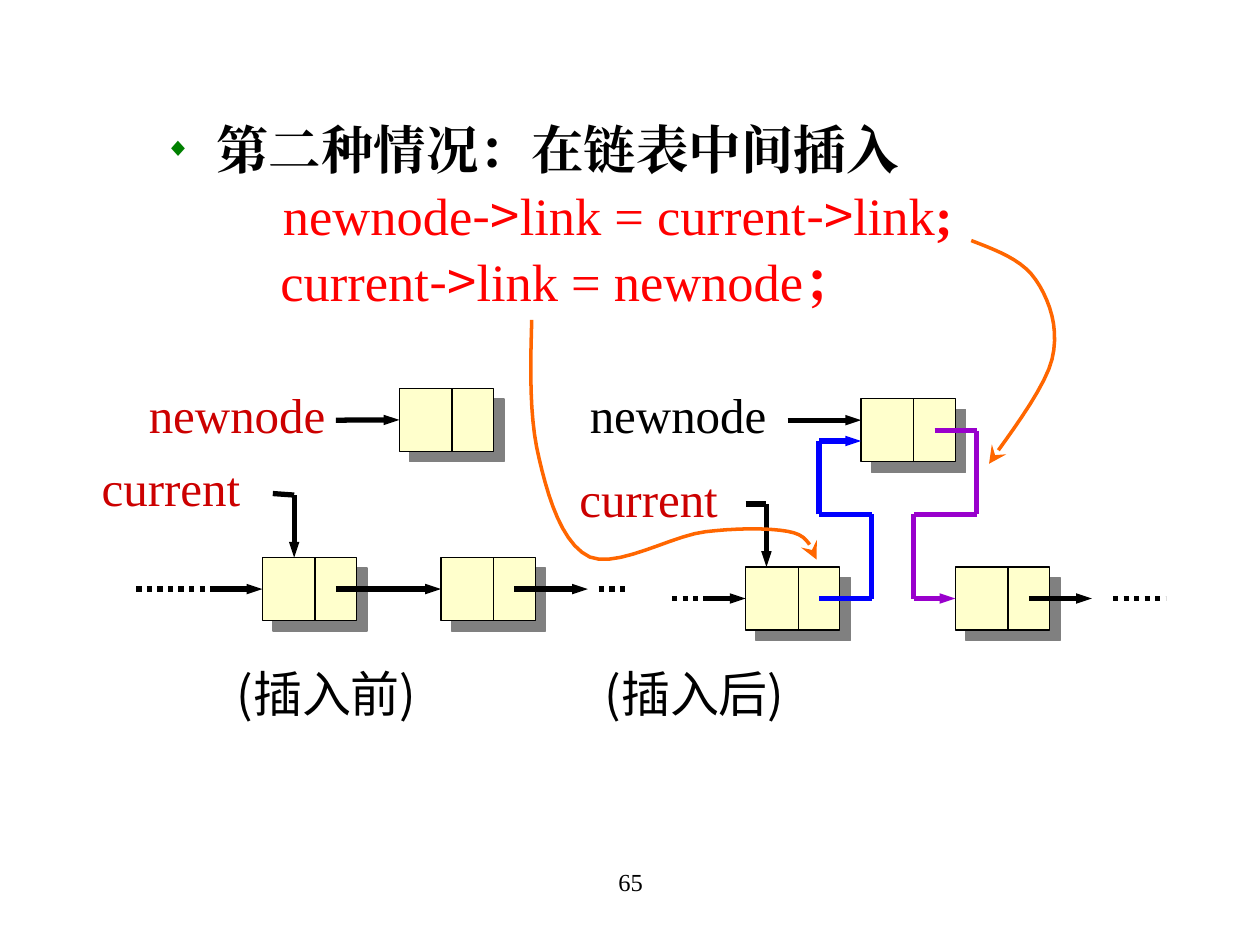
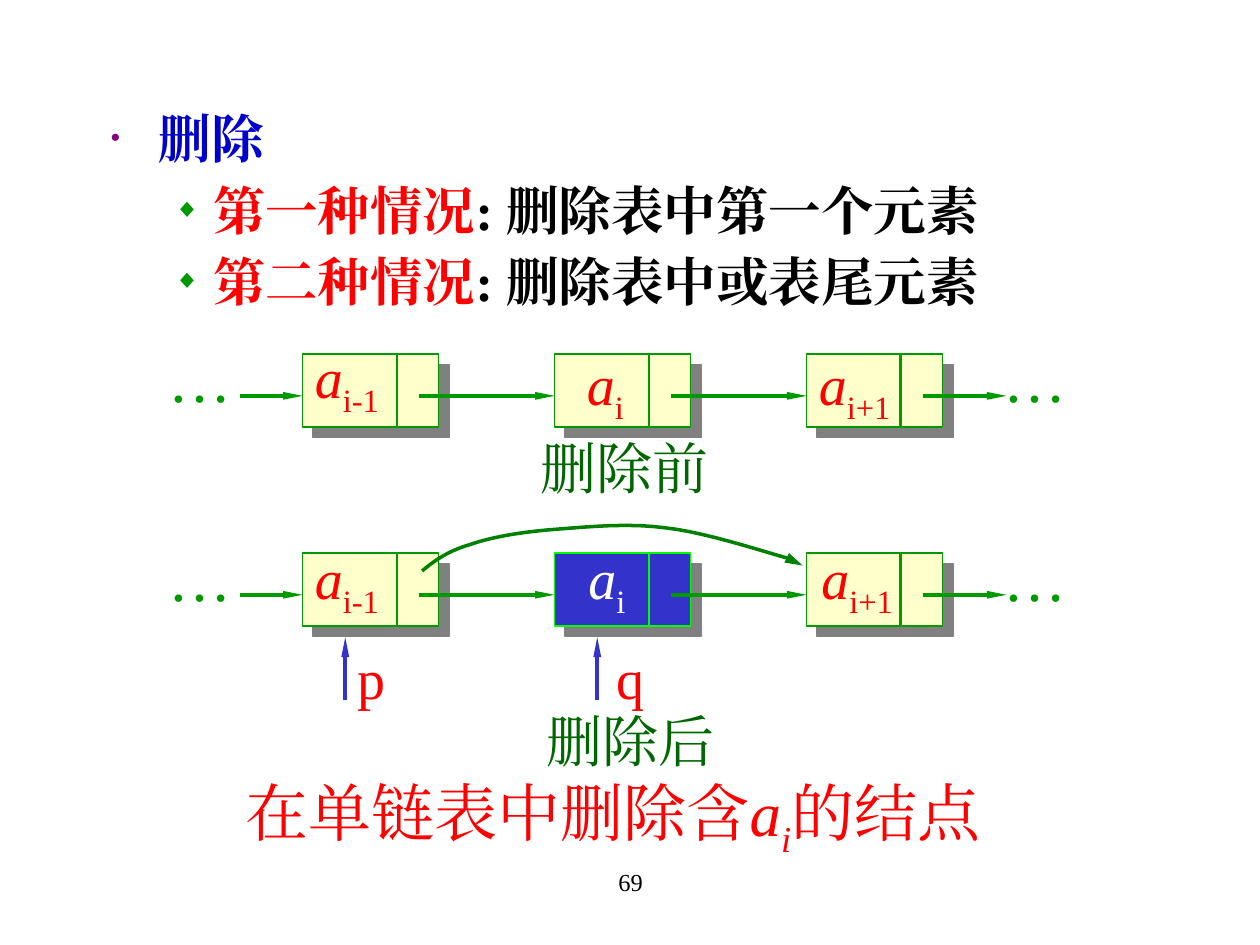
import dataclasses
import itertools
from typing import NamedTuple, Optional

import lxml.etree
import pptx
import pptx.dml.color
import pptx.enum.dml
import pptx.enum.shapes
import pptx.enum.text
import pptx.oxml.ns
import pptx.util

Cm = pptx.util.Cm
Pt = pptx.util.Pt
RGBColor = pptx.dml.color.RGBColor
Point = tuple[float, float]

BLACK = RGBColor(0x00, 0x00, 0x00)
WHITE = RGBColor(0xFF, 0xFF, 0xFF)
RED = RGBColor(0xFF, 0x00, 0x00)
DARK_RED = RGBColor(0xCC, 0x00, 0x00)
BLUE = RGBColor(0x00, 0x00, 0xFF)
TITLE_BLUE = RGBColor(0x00, 0x00, 0xCC)
NODE_BLUE = RGBColor(0x33, 0x33, 0xCC)
VIOLET = RGBColor(0x99, 0x00, 0xCC)
PURPLE = RGBColor(0x80, 0x00, 0x80)
ORANGE = RGBColor(0xFF, 0x66, 0x00)
GREEN = RGBColor(0x00, 0x99, 0x00)
BULLET_GREEN = RGBColor(0x00, 0x80, 0x00)
CAPTION_GREEN = RGBColor(0x00, 0x66, 0x00)
BRIGHT_GREEN = RGBColor(0x00, 0xFF, 0x00)
CREAM = RGBColor(0xFF, 0xFF, 0xCC)

SERIF = "Times New Roman"
SANS = "Noto Sans CJK SC"


class Span(NamedTuple):
    text: str
    color: RGBColor = BLACK
    bold: bool = False
    italic: bool = False
    font: str = SERIF
    subscript: bool = False


class Item(NamedTuple):
    """One paragraph of a list; margin and hanging are in centimetres."""
    spans: list[Span]
    margin: float
    hanging: float = 0
    bullet: str = ""
    bullet_color: RGBColor = BLACK
    level: int = 1
    space_before: float = 0
    line_spacing: float = 1.0


class Arrowhead(NamedTuple):
    kind: str
    width: str
    length: str


class Stroke(NamedTuple):
    color: RGBColor
    weight: float
    head: Optional[Arrowhead] = None
    dotted: bool = False


@dataclasses.dataclass
class NodeStyle:
    width: float
    height: float
    cut: float
    fill: RGBColor
    line: RGBColor
    cut_weight: float


LIST_HEAD = Arrowhead("triangle", "sm", "med")
LONG_HEAD = Arrowhead("triangle", "sm", "lg")
WIRE = Stroke(BLACK, 3)
ARROW = Stroke(BLACK, 3, LIST_HEAD)
DOTS = Stroke(BLACK, 3, dotted=True)
GREEN_ARROW = Stroke(GREEN, 2.25, LONG_HEAD)
POINTER = Stroke(NODE_BLUE, 2.25, LONG_HEAD)
ORANGE_CURVE = Stroke(ORANGE, 2, Arrowhead("stealth", "lg", "lg"))
GREEN_CURVE = Stroke(BULLET_GREEN, 2, Arrowhead("triangle", "med", "lg"))
INSERT_NODE = NodeStyle(1.9, 1.27, 1.06, CREAM, BLACK, 0.75)
DELETE_NODE = NodeStyle(2.74, 1.47, 1.9, CREAM, GREEN, 1.5)
DELETED_NODE = dataclasses.replace(DELETE_NODE, fill=NODE_BLUE, line=BRIGHT_GREEN)


def add_element(parent, tag: str, **attributes: str):
    return lxml.etree.SubElement(parent, pptx.oxml.ns.qn(tag), attributes)


def add_spans(para, spans: list[Span], size: float) -> None:
    for span in spans:
        run = para.add_run()
        run.text = span.text
        font = run.font
        font.size, font.name = Pt(size), span.font
        font.bold, font.italic = span.bold, span.italic
        font.color.rgb = span.color
        properties = run._r.get_or_add_rPr()
        add_element(properties, "a:ea", typeface=span.font)
        if span.subscript:
            properties.set("baseline", "-25000")


def add_label(page, left: float, top: float, width: float, spans: list[Span],
              size: float, inset: Point = (0.25, 0.13), centered: bool = False) -> None:
    box = page.shapes.add_textbox(Cm(left), Cm(top), Cm(width), Cm(size * 0.05))
    frame = box.text_frame
    frame.word_wrap = True
    frame.margin_left = frame.margin_right = Cm(inset[0])
    frame.margin_top = frame.margin_bottom = Cm(inset[1])
    para = frame.paragraphs[0]
    if centered:
        para.alignment = pptx.enum.text.PP_ALIGN.CENTER
    add_spans(para, spans, size)


def add_page(deck, number: str, bounds: tuple, items: list[Item]):
    """Add a slide with its list in the body placeholder and its page number."""
    page = deck.slides.add_slide(deck.slide_layouts[1])
    title = page.shapes.title
    title.element.getparent().remove(title.element)
    body = page.placeholders[1]
    body.left, body.top, body.width, body.height = map(Cm, bounds)
    frame = body.text_frame
    frame.auto_size = pptx.enum.text.MSO_AUTO_SIZE.NONE
    for index, item in enumerate(items):
        para = frame.add_paragraph() if index else frame.paragraphs[0]
        para.level = item.level
        properties = para._p.get_or_add_pPr()
        properties.set("marL", str(Cm(item.margin)))
        properties.set("indent", str(-Cm(item.hanging)))
        if item.bullet:
            tint = add_element(properties, "a:buClr")
            add_element(tint, "a:srgbClr", val=str(item.bullet_color))
            add_element(properties, "a:buSzPct", val="50000")
            add_element(properties, "a:buChar", char=item.bullet)
        else:
            add_element(properties, "a:buNone")
        para.line_spacing = item.line_spacing
        para.space_before = Pt(item.space_before)
        add_spans(para, item.spans, 30)
    add_label(page, 8.69, 17.35, 8.05, [Span(number)], 14, centered=True)
    return page


def apply_stroke(shape, stroke: Stroke) -> None:
    line = shape.line
    line.color.rgb = stroke.color
    line.width = Pt(stroke.weight)
    if stroke.dotted:
        line.dash_style = pptx.enum.dml.MSO_LINE.ROUND_DOT
    if stroke.head:
        add_element(line._get_or_add_ln(), "a:tailEnd", type=stroke.head.kind,
                    w=stroke.head.width, len=stroke.head.length)


def add_line(page, start: Point, end: Point, stroke: Stroke, target=None) -> None:
    """Draw a line; a target rectangle is joined at the middle of its left side."""
    connector = page.shapes.add_connector(
        pptx.enum.shapes.MSO_CONNECTOR.STRAIGHT, *map(Cm, start + end))
    if target is not None:
        connector.end_connect(target, 1)
    apply_stroke(connector, stroke)
    add_element(connector._element.spPr, "a:effectLst")


def add_route(page, points: list[Point], stroke: Stroke, target=None) -> None:
    """Draw a bent line whose last leg alone carries the arrowhead."""
    legs = list(itertools.pairwise(points))
    for start, end in legs[:-1]:
        add_line(page, start, end, stroke._replace(head=None))
    add_line(page, *legs[-1], stroke, target)


def add_curve(page, points: list[Point], stroke: Stroke, steps: int = 10) -> None:
    """Draw joined cubic Bezier arcs: a start, then three points for each arc."""
    trace = []
    for first in range(0, len(points) - 1, 3):
        arc = points[first:first + 4]
        for step in range(1, steps + 1):
            t = step / steps
            weights = ((1 - t) ** 3, 3 * t * (1 - t) ** 2, 3 * t * t * (1 - t), t ** 3)
            trace.append(tuple(Cm(sum(w * point[axis] for w, point in zip(weights, arc)))
                               for axis in (0, 1)))
    builder = page.shapes.build_freeform(*map(Cm, points[0]))
    builder.add_line_segments(trace, close=False)
    curve = builder.convert_to_shape()
    curve.shadow.inherit = False
    curve.fill.background()
    apply_stroke(curve, stroke)


def add_node(page, left: float, top: float, style: NodeStyle):
    """Draw a list node: a shadowed box cut into a data and a link field."""
    node = page.shapes.add_shape(pptx.enum.shapes.MSO_SHAPE.RECTANGLE, Cm(left), Cm(top),
                                 Cm(style.width), Cm(style.height))
    node.fill.solid()
    node.fill.fore_color.rgb = style.fill
    apply_stroke(node, Stroke(style.line, 0.75))
    node.shadow.inherit = False
    effects = node._element.spPr.find(pptx.oxml.ns.qn("a:effectLst"))
    shadow = add_element(effects, "a:outerShdw", dist=str(Pt(8.5)), dir="2700000",
                         algn="ctr", rotWithShape="0")
    add_element(shadow, "a:srgbClr", val="808080")
    cut = left + style.cut
    add_line(page, (cut, top), (cut, top + style.height), Stroke(style.line, style.cut_weight))
    return node


def build_insertion(deck) -> None:
    def code(*parts: str) -> list[Span]:
        return [Span(part, RED, font=SANS if part == "->" else SERIF) for part in parts]

    page = add_page(deck, "65", (1.8, 2.16, 23.93, 14.86), [
        Item([Span("第二种情况：在链表中间插入", bold=True)], 2.31, 1.04, "◆", BULLET_GREEN,
             line_spacing=1.05),
        Item(code("newnode", "->", "link = current", "->", "link") + [Span(";", RED, True)],
             3.65, line_spacing=1.05),
        Item(code("current", "->", "link = newnode") + [Span("；", RED, True)],
             3.6, level=0, line_spacing=1.05),
    ])
    for left, caption in ((4.47, "(插入前)"), (11.89, "(插入后)")):
        add_label(page, left, 13.23, 6, [Span(caption, font=SANS)], 28, (0.3, 0.15))

    before_top, after_top = 11.24, 11.43
    new_before = add_node(page, 8.05, 7.83, INSERT_NODE)
    first_before, second_before = (add_node(page, left, before_top, INSERT_NODE)
                                   for left in (5.29, 8.89))
    add_node(page, 17.36, 8.04, INSERT_NODE)
    first_after, second_after = (add_node(page, left, after_top, INSERT_NODE)
                                 for left in (15.03, 19.26))

    row = before_top + INSERT_NODE.height / 2
    add_line(page, (6.77, 8.47), (8.05, 8.47), ARROW, new_before)
    add_line(page, (2.75, row), (4.23, row), DOTS)
    add_line(page, (4.23, row), (5.29, row), ARROW, first_before)
    add_line(page, (6.77, row), (8.89, row), ARROW, second_before)
    add_line(page, (10.37, row), (11.85, row), ARROW)
    add_line(page, (12.07, row), (12.7, row), DOTS)
    add_route(page, [(5.5, 9.95), (5.93, 9.98), (5.93, before_top)], ARROW)

    row = after_top + INSERT_NODE.height / 2
    add_line(page, (15.88, 8.47), (17.36, 8.47), ARROW)
    add_line(page, (13.55, row), (14.18, row), DOTS)
    add_line(page, (14.18, row), (15.03, row), ARROW, first_after)
    add_line(page, (20.74, row), (22.01, row), ARROW)
    add_line(page, (22.44, row), (23.5, row), DOTS)
    add_route(page, [(15.03, 10.16), (15.45, 10.16), (15.45, after_top)], ARROW)
    add_route(page, [(18.84, 8.68), (19.69, 8.68), (19.69, 10.37), (18.42, 10.37),
                     (18.42, row), (19.26, row)], ARROW._replace(color=VIOLET), second_after)
    add_route(page, [(16.51, row), (17.57, row), (17.57, 10.37), (16.51, 10.37),
                     (16.51, 8.89), (17.36, 8.89)], ARROW._replace(color=BLUE))

    for left, top, name, color in ((2.75, 7.62, "newnode", DARK_RED),
                                   (1.8, 9.1, "current", DARK_RED),
                                   (11.64, 7.62, "newnode", BLACK),
                                   (11.43, 9.31, "current", DARK_RED)):
        add_label(page, left, top, 4.6, [Span(name, color)], 28)
    add_curve(page, [(19.58, 4.85), (20.09, 5.05), (20.6, 5.23), (20.88, 5.64),
                     (21.16, 6.05), (21.36, 6.63), (21.21, 7.24),
                     (21.06, 7.87), (20.17, 8.99), (19.94, 9.35)], ORANGE_CURVE)
    add_curve(page, [(10.72, 6.45), (10.69, 7.44), (10.67, 8.46), (10.87, 9.25),
                     (11.05, 10.03), (11.33, 10.97), (11.89, 11.23),
                     (12.45, 11.46), (13.54, 10.8), (14.22, 10.72),
                     (14.91, 10.64), (15.62, 10.64), (16, 10.74),
                     (16.38, 10.85), (16.38, 11.2), (16.46, 11.28)], ORANGE_CURVE)


def build_deletion(deck) -> None:
    cases = (("第一种情况", ": 删除表中第一个元素"), ("第二种情况", ": 删除表中或表尾元素"))
    page = add_page(deck, "69", (1.98, 2.01, 22.66, 5.28), [
        Item([Span("删除", TITLE_BLUE, True)], 0.97, 0.97, "•", PURPLE, level=0),
        *(Item([Span(case, RED, True), Span(detail, bold=True)], 2.06, 0.79, "◆", GREEN,
               space_before=5) for case, detail in cases),
    ])
    add_label(page, 4.65, 15.44, 16.08,
              [Span("在单链表中删除含", RED), Span("a", RED, italic=True),
               Span("i", RED, italic=True, subscript=True), Span("的结点", RED)],
              36, (0.3, 0.15))

    node_lefts = [6.1 + 5.08 * index for index in range(3)]
    indexes = ("i-1", "i", "i+1")
    rows = (
        (7.14, DELETE_NODE, RED, ((6.1, 6.78), (11.58, 6.91), (16.26, 6.91))),
        (11.15, DELETED_NODE, WHITE, ((6.1, 10.82), (11.61, 10.82), (16.31, 10.82))),
    )
    for top, middle_style, middle_color, places in rows:
        wire = top + 0.84
        add_line(page, (4.83, wire), (node_lefts[0], wire), GREEN_ARROW)
        styles = (DELETE_NODE, middle_style, DELETE_NODE)
        for left, end, style in zip(node_lefts, node_lefts[1:] + [20.29], styles):
            add_node(page, left, top, style)
            add_line(page, (left + 2.34, wire), (end, wire), GREEN_ARROW)
        for left in (3.15, 19.99):
            add_label(page, left, top - 0.43, 2.2, [Span("…", GREEN)], 36)
        for place, index, color in zip(places, indexes, (RED, middle_color, RED)):
            add_label(page, *place, 2.5,
                      [Span("a", color, italic=True), Span(index, color, subscript=True)], 32)

    for x in (6.96, 12.04):
        add_line(page, (x, 14.12), (x, 12.85), POINTER)
    for left, top, text, color in ((6.96, 12.85, "p", RED), (12.17, 12.85, "q", RED),
                                   (10.64, 8.61, "删除前", CAPTION_GREEN),
                                   (10.77, 14.12, "删除后", CAPTION_GREEN)):
        add_label(page, left, top, 4.5, [Span(text, color)], 32)
    add_curve(page, [(8.51, 11.51), (8.76, 11.3), (9.04, 11.1), (9.5, 10.97),
                     (9.93, 10.82), (10.54, 10.72), (11.2, 10.67),
                     (11.86, 10.62), (12.65, 10.54), (13.41, 10.64),
                     (14.17, 10.72), (15.34, 11.1), (15.8, 11.23),
                     (16.26, 11.35), (16.1, 11.38), (16.18, 11.4)], GREEN_CURVE)


def main() -> None:
    deck = pptx.Presentation()
    deck.slide_width, deck.slide_height = Cm(25.4), Cm(19.05)
    build_insertion(deck)
    build_deletion(deck)
    deck.save("out.pptx")


if __name__ == "__main__":
    main()
